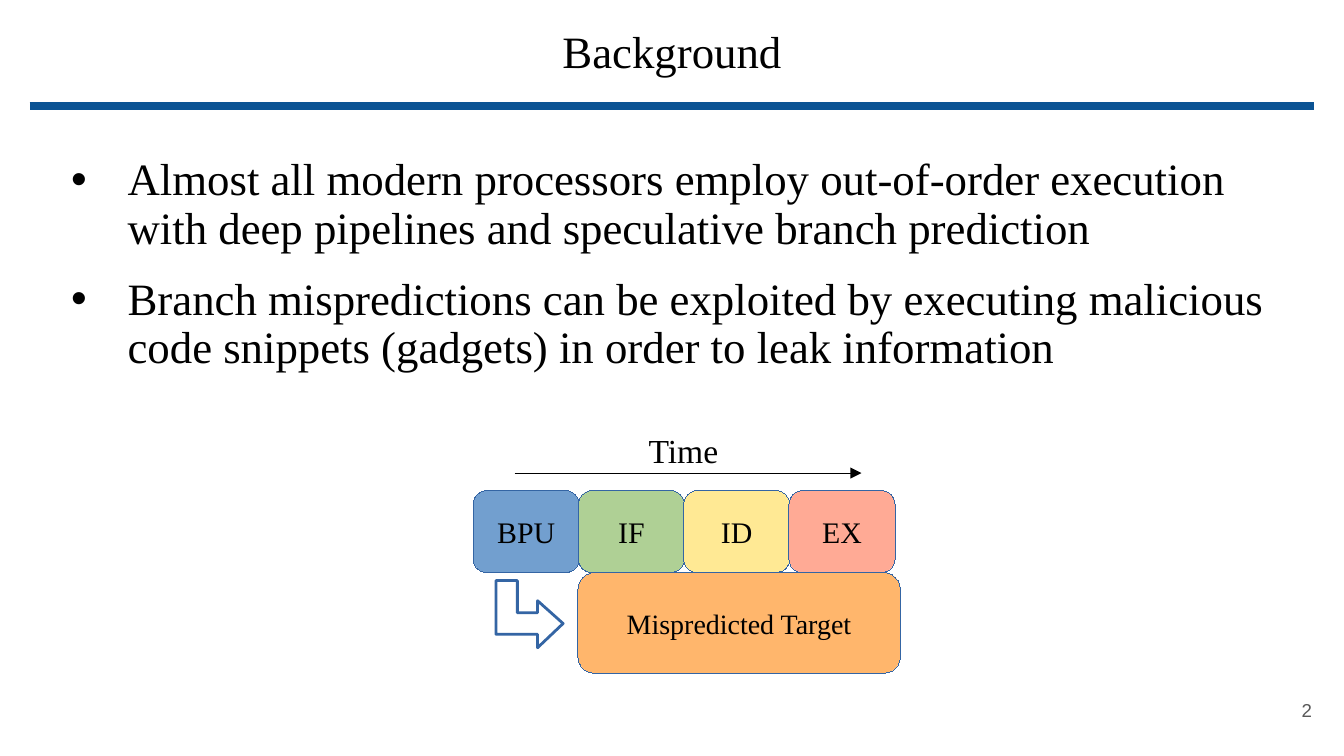
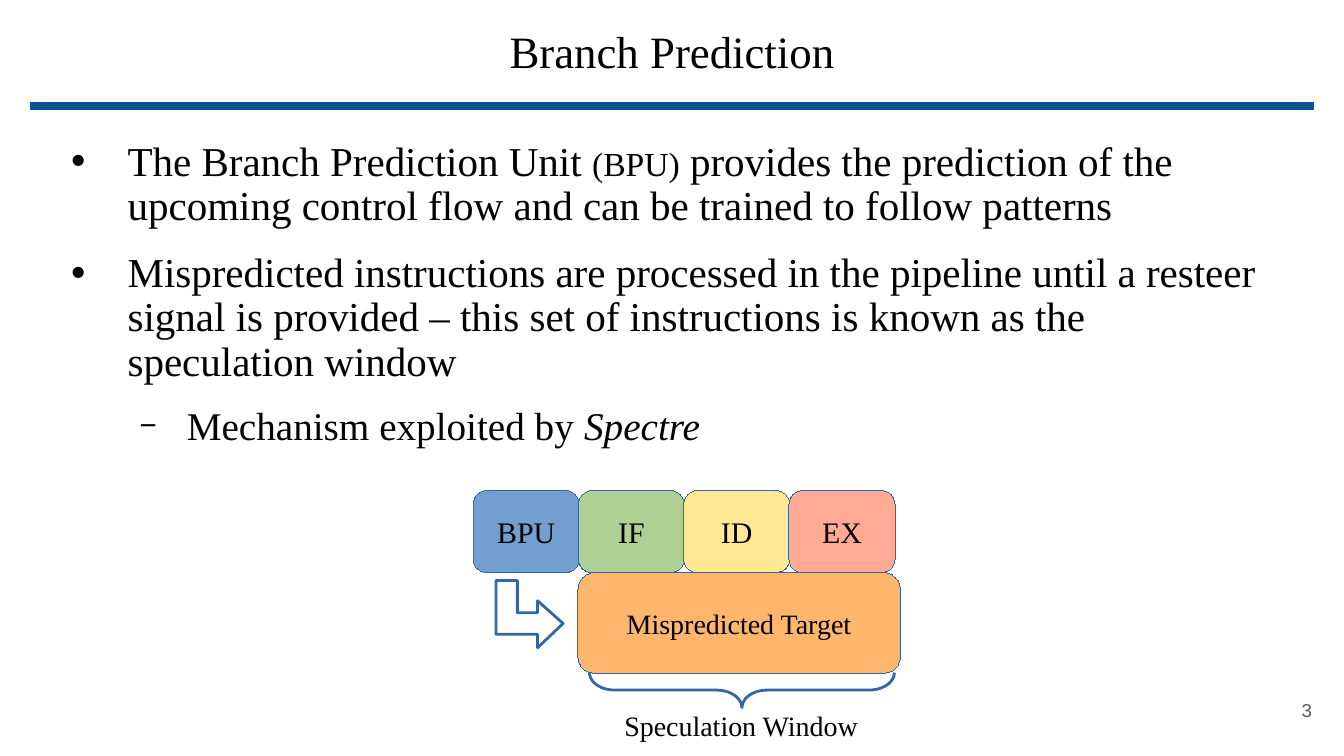
from lxml.etree import SubElement
from pptx import Presentation
from pptx.dml.color import RGBColor
from pptx.enum.shapes import MSO_CONNECTOR, MSO_SHAPE
from pptx.enum.text import MSO_ANCHOR, PP_ALIGN
from pptx.oxml.ns import qn
from pptx.util import Inches, Pt

BLACK = RGBColor(0x00, 0x00, 0x00)
WHITE = RGBColor(0xFF, 0xFF, 0xFF)
RULE_BLUE = RGBColor(0x0B, 0x53, 0x94)
OUTLINE = RGBColor(0x34, 0x65, 0xA4)
NUMBER_GRAY = RGBColor(0x59, 0x59, 0x59)
TARGET_ORANGE = RGBColor(0xFF, 0xB6, 0x6C)
STAGES = [
    ("BPU", RGBColor(0x72, 0x9F, 0xCF)),
    ("IF", RGBColor(0xAF, 0xD0, 0x95)),
    ("ID", RGBColor(0xFF, 0xE9, 0x94)),
    ("EX", RGBColor(0xFF, 0xAA, 0x95)),
]
SERIF, SANS = "Times New Roman", "Arial"

# Bullet levels: character, size in percent, left margin, hanging indent, space before
LEVELS = [("•", 100, 0.5, 0.42, 12), ("−", 75, 0.94, 0.35, 11.3)]
STAGE_W, STAGE_H = 0.79, 0.61
STAGE_STEP = 2.35 / 3
PIPELINE_BOX = (3.52, 3.65)


# Text helpers
def add_run(p, text, size, font=SERIF, color=BLACK, italic=False):
    r = p.add_run()
    r.text = text
    r.font.size = Pt(size)
    r.font.name = font
    r.font.color.rgb = color
    r.font.italic = italic


def set_frame(tf, inset_x=0.1, inset_y=0.05, anchor=MSO_ANCHOR.TOP):
    tf.word_wrap = True
    tf.margin_left = tf.margin_right = Inches(inset_x)
    tf.margin_top = tf.margin_bottom = Inches(inset_y)
    tf.vertical_anchor = anchor
    return tf


def add_text(s, box, **frame):
    return set_frame(s.shapes.add_textbox(*map(Inches, box)).text_frame, **frame)


def add_label(tf, text, size, align=PP_ALIGN.CENTER, **style):
    p = tf.paragraphs[0]
    p.alignment = align
    add_run(p, text, size, **style)
    return p


# Shape helpers
def style_line(line, color, width):
    line.color.rgb = color
    # Written directly, since a hairline needs an explicit zero width
    ln = line._get_or_add_ln()
    ln.set("w", str(Pt(width)))
    return ln


def style_shape(sp, fill, width):
    sp.shadow.inherit = False
    if fill is None:
        sp.fill.background()
    else:
        sp.fill.solid()
        sp.fill.fore_color.rgb = fill
    style_line(sp.line, OUTLINE, width)


def add_block(s, box, text, size, fill):
    sp = s.shapes.add_shape(MSO_SHAPE.ROUNDED_RECTANGLE, *map(Inches, box))
    style_shape(sp, fill, 0)
    add_label(set_frame(sp.text_frame, anchor=MSO_ANCHOR.MIDDLE), text, size)


def add_line(s, x1, x2, y, color, width, arrow=False):
    sp = s.shapes.add_connector(MSO_CONNECTOR.STRAIGHT, *map(Inches, (x1, y, x2, y)))
    ln = style_line(sp.line, color, width)
    if arrow:
        SubElement(ln, qn("a:tailEnd"), type="triangle")
    SubElement(sp._element.spPr, qn("a:effectLst"))


# Title, rule and slide number
def add_base(prs, title, number):
    s = prs.slides.add_slide(prs.slide_layouts[6])
    tf = add_text(s, (1.63, 0.18, 6.74, 1), inset_x=0.07, inset_y=0.04)
    add_label(tf, title, 24).line_spacing = 0.9
    add_line(s, 0.22, 9.78, 0.79, RULE_BLUE, 4.5)
    tf = add_text(s, (9.27, 5.07, 0.59, 0.43), inset_y=0.1, anchor=MSO_ANCHOR.MIDDLE)
    add_label(tf, str(number), 10, PP_ALIGN.RIGHT, font=SANS, color=NUMBER_GRAY)
    return s


# Bulleted body: each item is a level and its runs
def add_bullets(s, top, items):
    tf = add_text(s, (0.38, top, 9.17, 2.6), inset_x=0.07, inset_y=0.04)
    for i, (level, runs) in enumerate(items):
        char, percent, margin, hanging, before = LEVELS[level]
        p = tf.add_paragraph() if i else tf.paragraphs[0]
        p.level = level
        p.line_spacing = 0.9
        p.space_before = Pt(before if i else 0)
        pPr = p._p.get_or_add_pPr()
        pPr.set("marL", str(Inches(margin)))
        pPr.set("indent", str(-Inches(hanging)))
        SubElement(SubElement(pPr, qn("a:buClr")), qn("a:srgbClr"), val=str(BLACK))
        SubElement(pPr, qn("a:buSzPct"), val=str(percent * 1000))
        SubElement(pPr, qn("a:buFont"), typeface=SANS)
        SubElement(pPr, qn("a:buChar"), char=char)
        for text, size, *italic in runs:
            add_run(p, text, size, italic=bool(italic))


# Pipeline stages with the mispredicted target below
def add_pipeline(s, x, y):
    for i, (name, fill) in enumerate(STAGES):
        add_block(s, (x + i * STAGE_STEP, y, STAGE_W, STAGE_H), name, 16, fill)

    # Bent arrow from the BPU to the target
    points = [(0.31, 0.15), (0.31, 0.24), (0.16, 0.24), (0.16, 0), (0, 0),
              (0, 0.4), (0.31, 0.4), (0.31, 0.5), (0.5, 0.32)]
    corners = [(Inches(x + 0.17 + dx), Inches(y + 0.67 + dy)) for dx, dy in points]
    fb = s.shapes.build_freeform(*corners[0])
    fb.add_line_segments(corners[1:], close=True)
    style_shape(fb.convert_to_shape(), WHITE, 1.5)

    add_block(s, (x + 0.78, y + STAGE_H, 2.4, 0.75), "Mispredicted Target", 15,
              TARGET_ORANGE)


def add_time_axis(s, x, y):
    add_line(s, x + 0.31, x + 2.89, y - 0.13, BLACK, 0, arrow=True)
    add_label(add_text(s, (x + 1.07, y - 0.5, 0.99, 0.41)), "Time", 18)


def add_speculation_window(s, x, y):
    # Brace turned so that its tip points down
    box = (x + 1.87, y + 0.35, 0.26, 2.27)
    sp = s.shapes.add_shape(MSO_SHAPE.RIGHT_BRACE, *map(Inches, box))
    sp.rotation = 90
    sp.adjustments[0] = 0.73
    style_shape(sp, None, 1.5)
    add_label(add_text(s, (x + 0.87, y + 1.57, 2.25, 0.4)), "Speculation Window", 15)


def background_slide(prs):
    s = add_base(prs, "Background", 2)
    add_bullets(s, 1.13, [
        (0, [("Almost all modern processors employ out-of-order execution with deep "
              "pipelines and speculative branch prediction", 24)]),
        (0, [("Branch mispredictions can be exploited by executing malicious code "
              "snippets (gadgets) in order to leak information", 24)]),
    ])
    add_time_axis(s, *PIPELINE_BOX)
    add_pipeline(s, *PIPELINE_BOX)


def prediction_slide(prs):
    s = add_base(prs, "Branch Prediction", 3)
    add_bullets(s, 1.01, [
        (0, [("The Branch Prediction Unit ", 22), ("(BPU)", 18),
             (" provides the prediction of the upcoming control flow and can be "
              "trained to follow patterns", 22)]),
        (0, [("Mispredicted instructions are processed in the pipeline until a resteer "
              "signal is provided – this set of instructions is known as the "
              "speculation window", 22)]),
        (1, [("Mechanism exploited by ", 21), ("Spectre", 21, True)]),
    ])
    add_pipeline(s, *PIPELINE_BOX)
    add_speculation_window(s, *PIPELINE_BOX)


def main():
    prs = Presentation()
    # Widescreen, 16:9
    prs.slide_width = Inches(10)
    prs.slide_height = prs.slide_width * 9 // 16
    background_slide(prs)
    prediction_slide(prs)
    prs.save("out.pptx")


if __name__ == "__main__":
    main()
